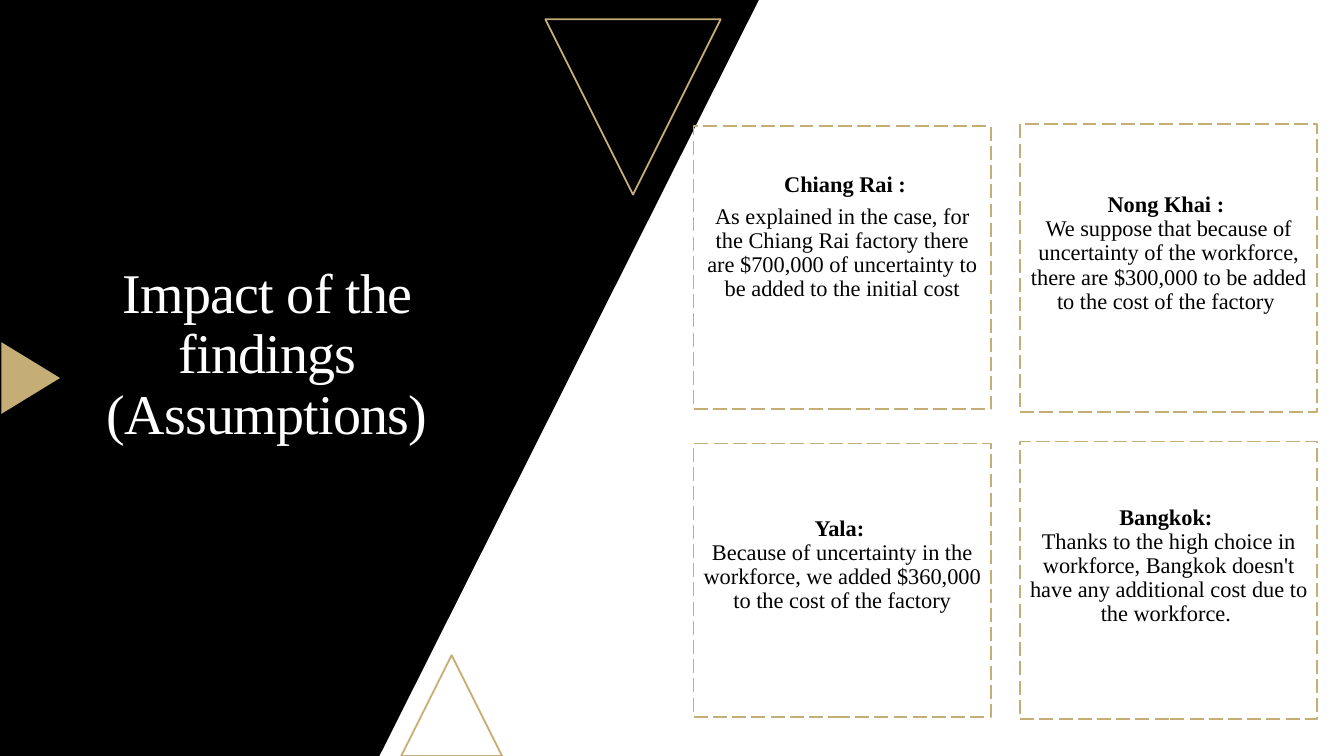
from dataclasses import dataclass
from typing import Optional

from pptx import Presentation
from pptx.dml.color import RGBColor
from pptx.enum.dml import MSO_LINE
from pptx.enum.shapes import MSO_SHAPE
from pptx.enum.text import MSO_ANCHOR, MSO_AUTO_SIZE, PP_ALIGN
from pptx.shapes.autoshape import Shape
from pptx.slide import Slide
from pptx.text.text import TextFrame
from pptx.util import Pt


@dataclass(frozen=True)
class Theme:
    black: RGBColor = RGBColor(0x00, 0x00, 0x00)
    white: RGBColor = RGBColor(0xFF, 0xFF, 0xFF)
    gold: RGBColor = RGBColor(0xC4, 0xAE, 0x75)
    font: str = "Times New Roman"
    title_size: float = 40
    card_size: float = 16
    line_width: float = 1.25


@dataclass(frozen=True)
class Triangle:
    left: float
    top: float
    width: float
    height: float
    rotation: float = 0
    filled: bool = False


@dataclass(frozen=True)
class Card:
    column: int
    top: float
    height: float
    text_inset: float
    paragraphs: tuple[str, ...]  # a line break follows a heading that shares its paragraph


THEME = Theme()
SLIDE_WIDTH, SLIDE_HEIGHT = 960, 540
CARD_LEFT, CARD_PITCH, CARD_WIDTH, CARD_INSET = 495.4, 233.2, 212.4, 5

TRIANGLES = (
    Triangle(286.6, 468, 72, 72),
    Triangle(389.5, 13.7, 125.3, 125.3, rotation=180),
    Triangle(-3.6, 249.1, 51.1, 41.8, rotation=90, filled=True),
)

CARDS = (
    Card(0, 90, 202.3, 33.5, (
        " Chiang Rai :",
        "As explained in the case, for the Chiang Rai factory there are "
        "$700,000 of uncertainty to be added to the initial cost")),
    Card(1, 88.6, 205.9, 49.5, (
        "Nong Khai : \nWe suppose that because of uncertainty of the workforce, "
        "there are $300,000 to be added to the cost of the factory ",)),
    Card(0, 316.8, 195.1, 52.5, (
        "Yala: \nBecause of uncertainty in the workforce, "
        "we added $360,000 to the cost of the factory",)),
    Card(1, 315.4, 198, 46, (
        "Bangkok: \nThanks to the high choice in workforce, Bangkok doesn't "
        "have any additional cost due to the workforce. ",)),
)


def write_text(frame: TextFrame, paragraphs: tuple[str, ...], *, size: float,
               color: RGBColor, bold_heading: bool = False, space_after: float = 0,
               tracking: float = 0) -> None:
    """Write centred paragraphs; the very first line may be a bold heading."""
    frame.word_wrap = True
    frame.auto_size = MSO_AUTO_SIZE.NONE
    for index, content in enumerate(paragraphs):
        paragraph = frame.paragraphs[0] if index == 0 else frame.add_paragraph()
        paragraph.alignment = PP_ALIGN.CENTER
        paragraph.line_spacing = 0.9
        paragraph.space_after = Pt(space_after)
        for line_index, line in enumerate(content.split("\n")):
            if line_index:
                paragraph.add_line_break()
            run = paragraph.add_run()
            run.text = line
            run.font.name = THEME.font
            run.font.size = Pt(size)
            run.font.color.rgb = color
            run.font.bold = bold_heading and index == line_index == 0
            if tracking:
                run.font._element.set("spc", str(round(tracking * 100)))


def paint(shape: Shape, fill: Optional[RGBColor] = None,
          line: Optional[RGBColor] = None) -> None:
    shape.shadow.inherit = False
    if fill is None:
        shape.fill.background()
    else:
        shape.fill.solid()
        shape.fill.fore_color.rgb = fill
    if line is None:
        shape.line.fill.background()
    else:
        shape.line.color.rgb = line
        shape.line.width = Pt(THEME.line_width)


def draw_panel(slide: Slide) -> None:
    builder = slide.shapes.build_freeform(0, 0, scale=Pt(1))
    builder.add_line_segments(
        [(542, 0), (271, SLIDE_HEIGHT), (0, SLIDE_HEIGHT)], close=True)
    paint(builder.convert_to_shape(), fill=THEME.black)


def draw_triangle(slide: Slide, triangle: Triangle) -> None:
    shape = slide.shapes.add_shape(
        MSO_SHAPE.ISOSCELES_TRIANGLE, Pt(triangle.left), Pt(triangle.top),
        Pt(triangle.width), Pt(triangle.height))
    shape.rotation = triangle.rotation
    if triangle.filled:
        paint(shape, fill=THEME.gold)
    else:
        paint(shape, line=THEME.gold)


def draw_card(slide: Slide, card: Card) -> None:
    box = slide.shapes.add_shape(
        MSO_SHAPE.RECTANGLE, Pt(CARD_LEFT + card.column * CARD_PITCH), Pt(card.top),
        Pt(CARD_WIDTH), Pt(card.height))
    paint(box, line=THEME.gold)
    box.line.dash_style = MSO_LINE.LONG_DASH
    frame = box.text_frame
    frame.vertical_anchor = MSO_ANCHOR.TOP
    frame.margin_left = frame.margin_right = frame.margin_bottom = Pt(CARD_INSET)
    frame.margin_top = Pt(card.text_inset)
    write_text(frame, card.paragraphs, size=THEME.card_size, color=THEME.black,
               bold_heading=True, space_after=5.6)


def place_title(slide: Slide) -> None:
    title = slide.shapes.title
    title.left, title.top = Pt(18), Pt(136)
    title.width, title.height = Pt(345.6), Pt(236.2)
    title.text_frame.vertical_anchor = MSO_ANCHOR.MIDDLE
    write_text(title.text_frame, ("Impact of the findings (Assumptions)",),
               size=THEME.title_size, color=THEME.white, tracking=-0.5)
    # Bring the title in front of the black panel
    slide.shapes._spTree.append(title._element)


def main() -> None:
    deck = Presentation()
    deck.slide_width, deck.slide_height = Pt(SLIDE_WIDTH), Pt(SLIDE_HEIGHT)
    slide = deck.slides.add_slide(deck.slide_layouts[5])
    slide.background.fill.solid()
    slide.background.fill.fore_color.rgb = THEME.white

    # Backdrop
    draw_panel(slide)
    for triangle in TRIANGLES:
        draw_triangle(slide, triangle)

    # Assumptions per site
    for card in CARDS:
        draw_card(slide, card)

    # Title
    place_title(slide)
    deck.save("out.pptx")


if __name__ == "__main__":
    main()
